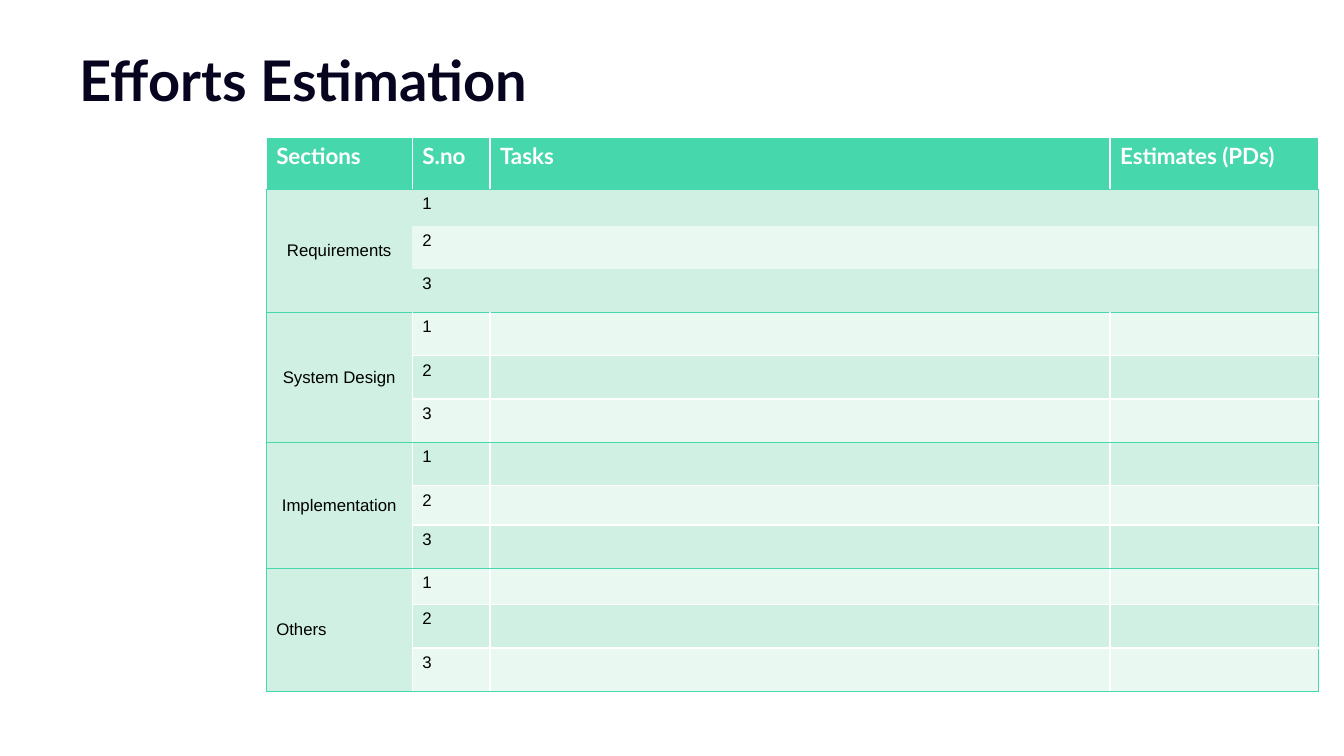
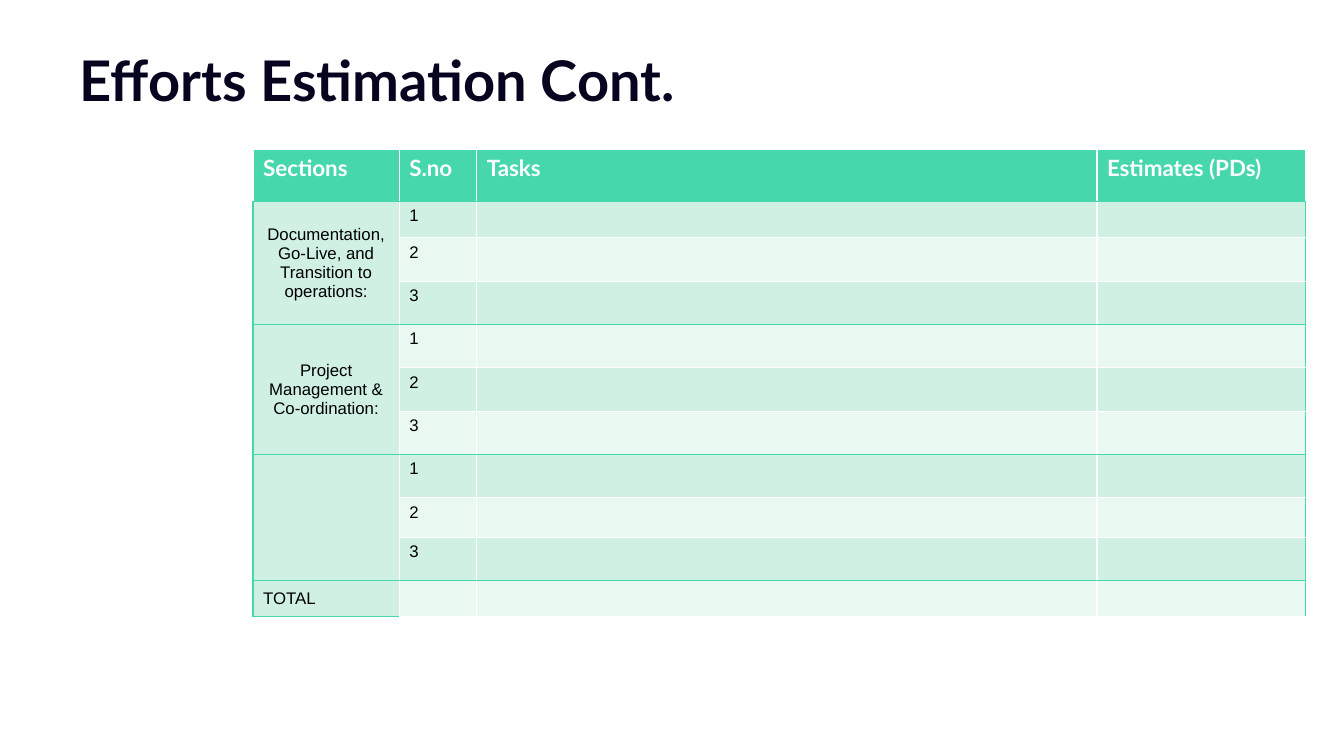
import lxml.etree
import pptx
import pptx.dml.color
import pptx.enum.text
import pptx.oxml.ns
import pptx.util

RGBColor = pptx.dml.color.RGBColor
Inches = pptx.util.Inches
Align = pptx.enum.text.PP_ALIGN
Anchor = pptx.enum.text.MSO_ANCHOR
qn = pptx.oxml.ns.qn

NAVY = RGBColor(0x06, 0x04, 0x1F)
GREEN = RGBColor(0x47, 0xD7, 0xAC)
MINT = RGBColor(0xCF, 0xF0, 0xE3)
PALE = RGBColor(0xE9, 0xF8, 0xF1)
WHITE = RGBColor(0xFF, 0xFF, 0xFF)
BLACK = RGBColor(0, 0, 0)

HEADS = ["Sections", "S.no", "Tasks", "Estimates (PDs)"]
COLS = [1.45, 0.77, 6.15, 2.07]
HEAD = 0.52
LOW, MID, TALL = 0.36, 0.39, 0.43
FIRST = [LOW, TALL, TALL]
EVEN = [TALL] * 3
DIP = [TALL, MID, TALL]


def write(frame, text, size=12, font="Arial", color=BLACK, bold=False,
          align=Align.LEFT):
    para = frame.paragraphs[0]
    para.alignment = align
    if not text:
        end = lxml.etree.SubElement(para._p, qn("a:endParaRPr"))
        end.set("sz", str(size * 100))
        return
    run = para.add_run()
    run.text = text
    run.font.size = pptx.util.Pt(size)
    run.font.name = font
    run.font.color.rgb = color
    run.font.bold = bold


def paint(cell, color):
    cell.fill.solid()
    cell.fill.fore_color.rgb = color


def edge(cell, left=WHITE, right=WHITE, top=WHITE, bottom=WHITE):
    props = cell._tc.get_or_add_tcPr()
    sides = zip(["a:lnL", "a:lnR", "a:lnT", "a:lnB"], [left, right, top, bottom])
    for spot, (tag, color) in enumerate(sides):
        line = lxml.etree.Element(qn(tag), w=str(pptx.util.Pt(1)))
        if color is None:
            lxml.etree.SubElement(line, qn("a:noFill"))
        else:
            fill = lxml.etree.SubElement(line, qn("a:solidFill"))
            lxml.etree.SubElement(fill, qn("a:srgbClr"), val=str(color))
        props.insert(spot, line)


def add_title(slide, text):
    title = slide.shapes.title
    title.left, title.top = Inches(0.69), Inches(0.37)
    title.width, title.height = Inches(8.5), Inches(0.8)
    frame = title.text_frame
    frame.word_wrap = True
    frame.auto_size = pptx.enum.text.MSO_AUTO_SIZE.SHAPE_TO_FIT_TEXT
    frame.vertical_anchor = Anchor.TOP
    frame.margin_left = frame.margin_right = Inches(0.1)
    frame.margin_top, frame.margin_bottom = Inches(0.08), Inches(0.05)
    write(frame, text, size=40, font="Lato", color=NAVY, bold=True)


def add_head(table):
    for col, text in enumerate(HEADS):
        cell = table.cell(0, col)
        paint(cell, GREEN)
        edge(cell, bottom=GREEN)
        write(cell.text_frame, text, size=16, font="Lato", color=WHITE, bold=True)


def add_group(table, start, name, count, align, plain):
    inner = None if plain else WHITE
    final = count - 1
    if final:
        table.cell(start, 0).merge(table.cell(start + final, 0))
    for step in range(count):
        row = start + step
        band = MINT if row % 2 else PALE
        texts = [name if step == 0 else "", str(step + 1) if final else "", "", ""]
        for col, text in enumerate(texts):
            cell = table.cell(row, col)
            side = col == 0
            paint(cell, MINT if side else band)
            edge(cell,
                 left=GREEN if side else inner,
                 right=GREEN if col == len(COLS) - 1 else inner,
                 top=GREEN if side or step == 0 else inner,
                 bottom=GREEN if side or final and step == final else inner)
            write(cell.text_frame, text, align=align if side else Align.LEFT)
            if side:
                cell.vertical_anchor = Anchor.MIDDLE


def add_grid(slide, left, top, groups, plain):
    rows = [HEAD] + [high for group in groups for high in group[1]]
    table = slide.shapes.add_table(
        len(rows), len(COLS), Inches(left), Inches(top),
        Inches(sum(COLS)), Inches(sum(rows))).table
    table.first_row = table.horz_banding = False
    for col, wide in zip(table.columns, COLS):
        col.width = Inches(wide)
    for row, high in zip(table.rows, rows):
        row.height = Inches(high)
    add_head(table)
    start = 1
    for name, highs, align in groups:
        add_group(table, start, name, len(highs), align, name in plain)
        start += len(highs)


def add_page(deck, title, left, top, groups, plain=()):
    slide = deck.slides.add_slide(deck.slide_layouts[5])
    add_title(slide, title)
    add_grid(slide, left, top, groups, plain)


def main():
    deck = pptx.Presentation()
    deck.slide_width, deck.slide_height = Inches(13.33), Inches(7.5)
    add_page(deck, "Efforts Estimation", 2.64, 1.36, [
        ("Requirements", FIRST, Align.CENTER),
        ("System Design", EVEN, Align.CENTER),
        ("Implementation", DIP, Align.CENTER),
        ("Others", FIRST, Align.LEFT),
    ], plain=["Requirements"])
    add_page(deck, "Efforts Estimation Cont.", 2.51, 1.48, [
        ("Documentation, Go-Live, and Transition to operations:", FIRST, Align.CENTER),
        ("Project Management & Co-ordination:", EVEN, Align.CENTER),
        ("", DIP, Align.CENTER),
        ("TOTAL", [LOW], Align.LEFT),
    ])
    deck.save("out.pptx")


if __name__ == "__main__":
    main()
